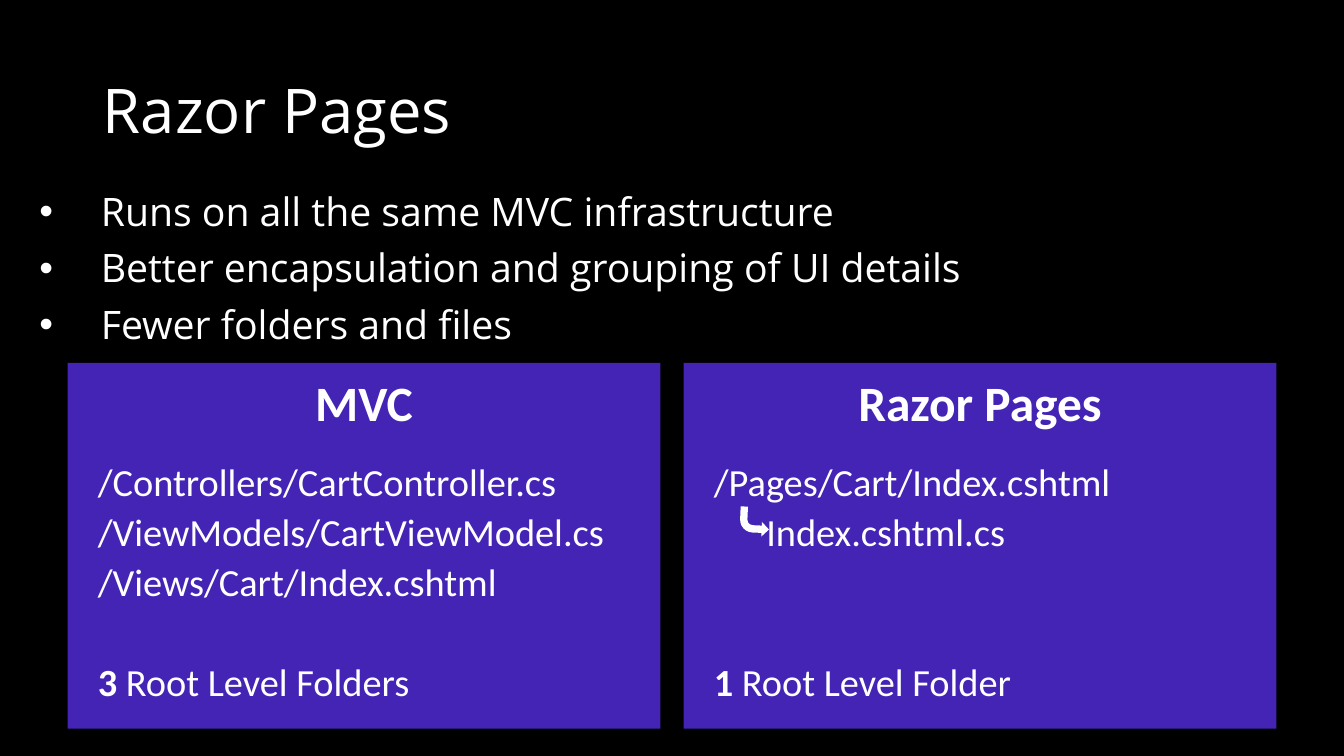
from pptx import Presentation
from pptx.dml.color import RGBColor
from pptx.enum.shapes import MSO_SHAPE
from pptx.enum.text import MSO_ANCHOR, MSO_AUTO_SIZE, PP_ALIGN
from pptx.oxml.ns import qn
from pptx.util import Inches, Pt

COLORS = {"background": "000000", "panel": "4424B5", "text": "FFFFFF"}
WIDTH, HEIGHT = 13.33, 7.5

# Two panel columns with equal outer margins
MARGIN, GUTTER = 0.67, 0.23
PANEL_WIDTH = (WIDTH - 2 * MARGIN - GUTTER) / 2
PANEL_TOP, PANEL_HEIGHT = 3.6, 3.63
FILES_INSET, FILES_TOP, FILES_HEIGHT = 0.1, 4.44, 2.73
FILE_LINE = 36  # points from one file line to the next
NESTED_INDENT = 0.52


def color(name):
    return RGBColor.from_string(COLORS[name])


def place(shape, left, top, width, height):
    shape.left, shape.top = Inches(left), Inches(top)
    shape.width, shape.height = Inches(width), Inches(height)


def style(paragraph, size, font_name, bold=False):
    paragraph.line_spacing = 0.9
    for run in paragraph.runs:
        run.font.size = Pt(size)
        run.font.name = font_name
        run.font.bold = bold
        run.font.color.rgb = color("text")


def pad(text_frame):
    text_frame.word_wrap = True
    text_frame.auto_size = MSO_AUTO_SIZE.NONE
    text_frame.vertical_anchor = MSO_ANCHOR.TOP
    text_frame.margin_left = text_frame.margin_right = Inches(0.2)
    text_frame.margin_top = text_frame.margin_bottom = Inches(0.16)


def add_filled_shape(slide, kind, fill, left, top, width, height):
    shape = slide.shapes.add_shape(
        kind, Inches(left), Inches(top), Inches(width), Inches(height))
    shape.shadow.inherit = False
    shape.fill.solid()
    shape.fill.fore_color.rgb = color(fill)
    shape.line.fill.background()
    return shape


def set_title(slide, text):
    title = slide.shapes.title
    place(title, 0.92, 0.4, 11.5, 1.45)
    title.text_frame.text = text
    title.text_frame.vertical_anchor = MSO_ANCHOR.MIDDLE
    paragraph = title.text_frame.paragraphs[0]
    paragraph.alignment = PP_ALIGN.LEFT
    style(paragraph, 44, "Open Sans")


def set_bullets(slide, items):
    body = slide.placeholders[1]
    place(body, 0.29, 1.86, 12.74, 1.66)
    text_frame = body.text_frame
    text_frame.text = "\n".join(items)
    text_frame.auto_size = MSO_AUTO_SIZE.NONE
    for index, paragraph in enumerate(text_frame.paragraphs):
        properties = paragraph._p.get_or_add_pPr()
        properties.set("marL", str(Inches(0.61)))
        properties.set("indent", str(-Inches(0.61)))
        bullet = properties.makeelement(qn("a:buChar"), {"char": "•"})
        properties.append(bullet)
        paragraph.space_before = Pt(10 if index else 0)
        style(paragraph, 28, "Open Sans")


def add_panel(slide, column, heading, files, count, label):
    left = MARGIN + column * (PANEL_WIDTH + GUTTER)
    panel = add_filled_shape(slide, MSO_SHAPE.RECTANGLE, "panel",
                             left, PANEL_TOP, PANEL_WIDTH, PANEL_HEIGHT)
    pad(panel.text_frame)
    panel.text_frame.text = heading
    panel.text_frame.paragraphs[0].alignment = PP_ALIGN.CENTER
    style(panel.text_frame.paragraphs[0], 35.3, "Calibri", bold=True)

    # File list, with the folder count on the fifth line
    box = slide.shapes.add_textbox(
        Inches(left + FILES_INSET), Inches(FILES_TOP),
        Inches(PANEL_WIDTH - FILES_INSET), Inches(FILES_HEIGHT))
    text_frame = box.text_frame
    pad(text_frame)
    text_frame.text = "\n".join(files)
    total = text_frame.add_paragraph()
    total.add_run().text = count
    total.add_run().text = f" {label}"
    for paragraph in text_frame.paragraphs:
        style(paragraph, 27.4, "Calibri")
        paragraph.space_after = Pt(5.9)
    total.space_before = Pt((4 - len(files)) * FILE_LINE)
    total.runs[0].font.bold = True
    return text_frame


def add_nesting_arrow(slide):
    arrow = add_filled_shape(slide, MSO_SHAPE.BENT_ARROW, "text",
                             7.34, 5.03, 0.29, 0.29)
    arrow.rotation = 182.5
    arrow._element.spPr.find(qn("a:xfrm")).set("flipH", "1")


def main():
    presentation = Presentation()
    presentation.slide_width = Inches(WIDTH)
    presentation.slide_height = Inches(HEIGHT)
    slide = presentation.slides.add_slide(presentation.slide_layouts[1])
    slide.background.fill.solid()
    slide.background.fill.fore_color.rgb = color("background")

    set_title(slide, "Razor Pages")
    set_bullets(slide, [
        "Runs on all the same MVC infrastructure",
        "Better encapsulation and grouping of UI details",
        "Fewer folders and files",
    ])

    # Comparison of the two project layouts
    add_panel(slide, 0, "MVC", [
        "/Controllers/CartController.cs",
        "/ViewModels/CartViewModel.cs",
        "/Views/Cart/Index.cshtml",
    ], "3", "Root Level Folders")
    razor_files = add_panel(slide, 1, "Razor Pages", [
        "/Pages/Cart/Index.cshtml",
        "Index.cshtml.cs",
    ], "1", "Root Level Folder")
    nested = razor_files.paragraphs[1]._p.get_or_add_pPr()
    nested.set("marL", str(Inches(NESTED_INDENT)))
    add_nesting_arrow(slide)

    presentation.save("out.pptx")


if __name__ == "__main__":
    main()
